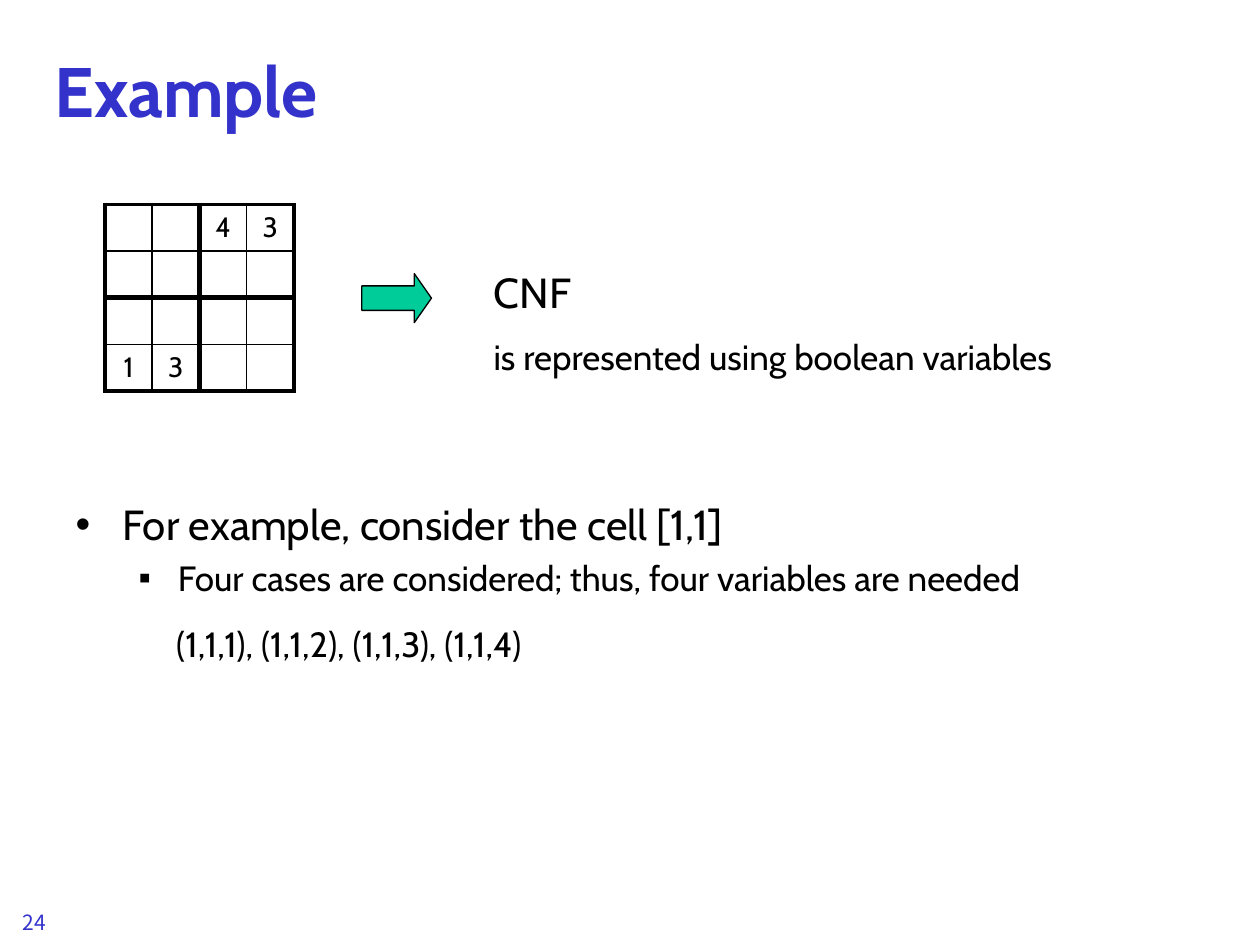
"""Build the Sudoku-to-CNF example slide."""
from lxml import etree
from pptx import Presentation
from pptx.dml.color import RGBColor
from pptx.enum import shapes, text
from pptx.oxml import ns
from pptx.util import Pt

COLORS = {"title": "3333CC", "ink": "000000", "paper": "FFFFFF", "arrow": "00CC99"}
FONT = "Cabin"
TITLE = "Example"
PUZZLE = [
    ["", "", "4", "3"],
    ["", "", "", ""],
    ["", "", "", ""],
    ["1", "3", "", ""],
]
RULES = [2.25, 1, 3, 1, 2.25]
PUZZLE_BOX = (60, 116.8, 108, 106.8)
ARROW_BOX = (206.8, 156.4, 39.8, 28)
# text, level, size, left margin, hanging indent, bullet, space before
BULLETS = [
    ("For example, consider the cell [1,1]", 0, 24, 27, 27, "•", 0),
    ("Four cases are considered; thus, four variables are needed", 1, 20, 58.5, 22.5, "▪", 4),
]
# text, box, size, font, color
LABELS = [
    ("24", (6, 516, 150, 24), 12, "Noto Sans CJK KR", "title"),
    ("is represented using boolean variables", (275, 188, 357, 31), 20, FONT, "ink"),
    ("CNF", (275, 149, 73.5, 36), 24, FONT, "ink"),
    ("(1,1,1), (1,1,2), (1,1,3), (1,1,4)", (93.6, 352, 300, 31), 20, FONT, "ink"),
]


def color(name):
    return RGBColor.from_string(COLORS[name])


def points(box):
    return [Pt(value) for value in box]


def place(shape, box):
    shape.left, shape.top, shape.width, shape.height = points(box)


def style(paragraph, size, font=FONT, ink="ink", bold=False):
    for span in paragraph.runs:
        span.font.size, span.font.name, span.font.bold = Pt(size), font, bold
        span.font.color.rgb = color(ink)


def add_bullet(paragraph, margin, hanging, mark):
    properties = paragraph._p.get_or_add_pPr()
    properties.set("marL", str(Pt(margin)))
    properties.set("indent", str(-Pt(hanging)))
    etree.SubElement(properties, ns.qn("a:buFont"), typeface="Arial")
    etree.SubElement(properties, ns.qn("a:buChar"), char=mark)


def add_borders(cell, widths):
    properties = cell._tc.get_or_add_tcPr()
    for index, (side, width) in enumerate(zip("LRTB", widths)):
        line = etree.Element(ns.qn(f"a:ln{side}"), w=str(Pt(width)))
        fill = etree.SubElement(line, ns.qn("a:solidFill"))
        etree.SubElement(fill, ns.qn("a:srgbClr"), val=COLORS["ink"])
        properties.insert(index, line)


def add_puzzle(page):
    count = len(PUZZLE)
    table = page.shapes.add_table(count, count, *points(PUZZLE_BOX)).table
    table.first_row = table.horz_banding = False
    for column in table.columns:
        column.width = Pt(PUZZLE_BOX[2] / count)
    for r, values in enumerate(PUZZLE):
        table.rows[r].height = Pt(PUZZLE_BOX[3] / count)
        for c, value in enumerate(values):
            cell = table.cell(r, c)
            cell.text_frame.text = value
            cell.margin_top = cell.margin_bottom = 0
            cell.vertical_anchor = text.MSO_ANCHOR.MIDDLE
            cell.fill.solid()
            cell.fill.fore_color.rgb = color("paper")
            paragraph = cell.text_frame.paragraphs[0]
            paragraph.alignment = text.PP_ALIGN.CENTER
            style(paragraph, 16)
            add_borders(cell, (RULES[c], RULES[c + 1], RULES[r], RULES[r + 1]))


def main():
    deck = Presentation()
    deck.slide_width, deck.slide_height = Pt(720), Pt(540)
    page = deck.slides.add_slide(deck.slide_layouts[1])

    title, body = page.placeholders
    place(title, (24, 12, 684, 78))
    title.text_frame.text = TITLE
    title.text_frame.vertical_anchor = text.MSO_ANCHOR.MIDDLE
    title.text_frame.paragraphs[0].alignment = text.PP_ALIGN.LEFT
    style(title.text_frame.paragraphs[0], 40, ink="title", bold=True)

    place(body, (36, 281.5, 684, 116.6))
    body.text_frame.text = "\n".join(bullet[0] for bullet in BULLETS)
    for paragraph, bullet in zip(body.text_frame.paragraphs, BULLETS):
        _, level, size, margin, hanging, mark, gap = bullet
        paragraph.level = level
        add_bullet(paragraph, margin, hanging, mark)
        paragraph.space_before = Pt(gap)
        style(paragraph, size)

    add_puzzle(page)

    arrow = page.shapes.add_shape(shapes.MSO_SHAPE.RIGHT_ARROW, *points(ARROW_BOX))
    arrow.adjustments[0], arrow.adjustments[1] = 0.5, 0.35
    arrow.shadow.inherit = False
    arrow.fill.solid()
    arrow.fill.fore_color.rgb = color("arrow")
    arrow.line.color.rgb = color("ink")
    arrow.line.width = Pt(0.75)

    for words, box, size, font, ink in LABELS:
        label = page.shapes.add_textbox(*points(box))
        label.text_frame.word_wrap = True
        label.text_frame.text = words
        style(label.text_frame.paragraphs[0], size, font, ink)

    deck.save("out.pptx")


if __name__ == "__main__":
    main()
